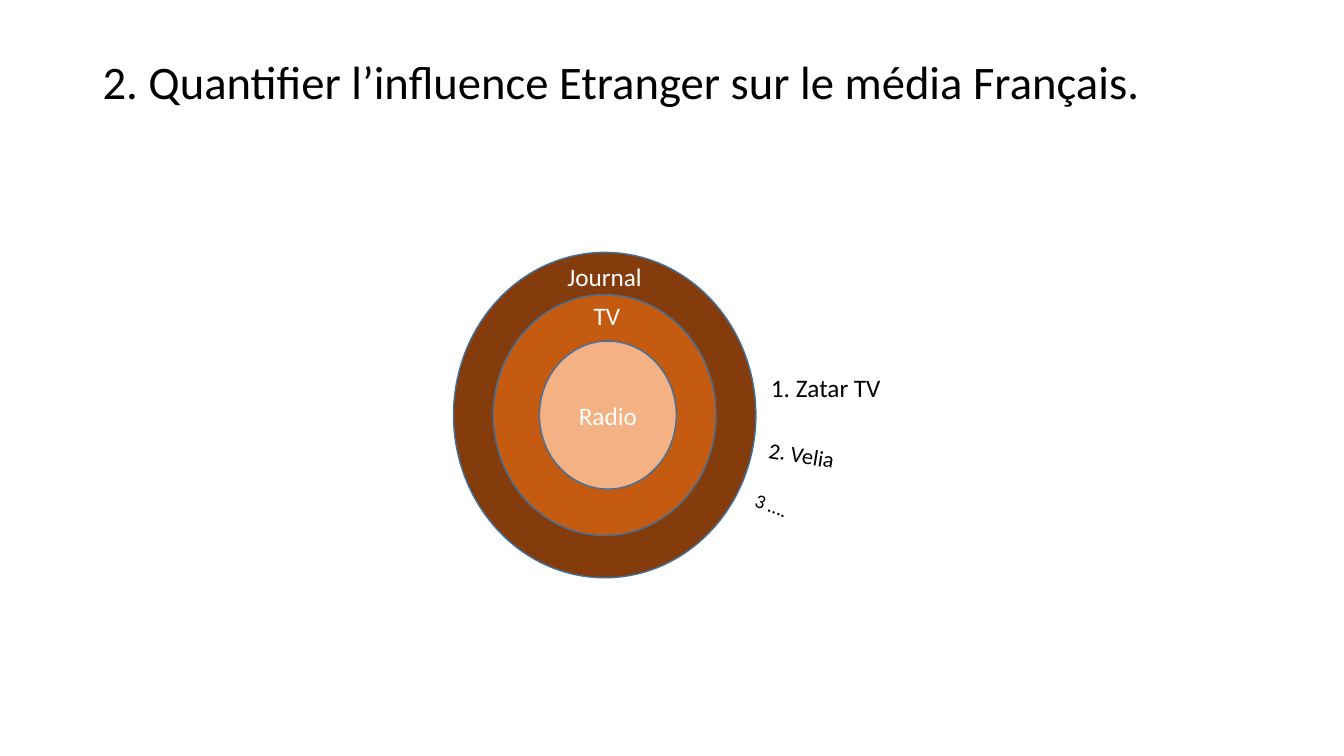
from pptx import Presentation
from pptx.dml.color import RGBColor
from pptx.enum.shapes import MSO_SHAPE
from pptx.enum.text import MSO_ANCHOR, MSO_AUTO_SIZE, PP_ALIGN
from pptx.util import Cm, Pt

OVAL = MSO_SHAPE.OVAL
TOP, MIDDLE = MSO_ANCHOR.TOP, MSO_ANCHOR.MIDDLE
LEFT, CENTER = PP_ALIGN.LEFT, PP_ALIGN.CENTER
NO_FIT = MSO_AUTO_SIZE.NONE
TITLE_ONLY = 5


def color(value):
    return RGBColor.from_string(value)


class SlideBuilder:
    font = "Calibri"
    dark = "000000"
    light = "FFFFFF"
    outline = "41719C"

    def __init__(self, presentation):
        self.slide = presentation.slides.add_slide(
            presentation.slide_layouts[TITLE_ONLY])

    def set_text(self, shape, text, size, text_color, align=LEFT, anchor=TOP):
        frame = shape.text_frame
        frame.text = text
        frame.word_wrap = True
        frame.auto_size = NO_FIT
        frame.vertical_anchor = anchor
        paragraph = frame.paragraphs[0]
        paragraph.alignment = align
        font = paragraph.runs[0].font
        font.name = self.font
        font.size = Pt(size)
        font.color.rgb = color(text_color)

    def title(self, text, left, top, width, height):
        shape = self.slide.shapes.title
        shape.left, shape.top = Cm(left), Cm(top)
        shape.width, shape.height = Cm(width), Cm(height)
        self.set_text(shape, text, 33.3, self.dark)
        shape.text_frame.margin_top = Cm(0.33)

    def ring(self, center_x, center_y, width, height, fill):
        shape = self.slide.shapes.add_shape(
            OVAL, Cm(center_x - width / 2), Cm(center_y - height / 2),
            Cm(width), Cm(height))
        shape.shadow.inherit = False
        shape.fill.solid()
        shape.fill.fore_color.rgb = color(fill)
        shape.line.color.rgb = color(self.outline)
        shape.line.width = Pt(1)
        return shape

    def label(self, text, left, top, width, height, size, text_color,
              rotation=0):
        shape = self.slide.shapes.add_textbox(
            Cm(left), Cm(top), Cm(width), Cm(height))
        shape.rotation = rotation
        self.set_text(shape, text, size, text_color)


def main():
    presentation = Presentation()
    presentation.slide_width = Cm(33.87)
    presentation.slide_height = Cm(19.05)
    builder = SlideBuilder(presentation)

    # Title
    builder.title("2. Quantifier l’influence Etranger sur le média Français.",
                  2.33, 1.01, 29.21, 3.68)

    # Nested media rings, outermost first
    center_y = 10.46
    builder.ring(15.24, center_y, 7.62, 8.2, "843C0C")
    builder.ring(15.24, center_y, 5.61, 6.07, "C55A11")
    radio = builder.ring(15.32, center_y, 3.45, 3.73, "F4B183")
    builder.set_text(radio, "Radio", 18, builder.light, CENTER, MIDDLE)

    # Ring names
    builder.label("TV", 14.71, 7.44, 1.75, 1.22, 18, builder.light)
    builder.label("Journal", 14.05, 6.45, 2.97, 1.22, 18, builder.light)

    # Ranked foreign owners, fanned around the rings
    owners = [
        ("1. Zatar TV", 19.18, 9.25, 1.02, 18, 0),
        ("2. Velia", 19.1, 11.35, 0.94, 16, 9.2),
        ("3 ….", 18.62, 13.21, 0.86, 14, 20.1),
    ]
    for text, left, top, height, size, rotation in owners:
        builder.label(text, left, top, 6.65, height, size, builder.dark,
                      rotation)

    presentation.save("out.pptx")


if __name__ == "__main__":
    main()
